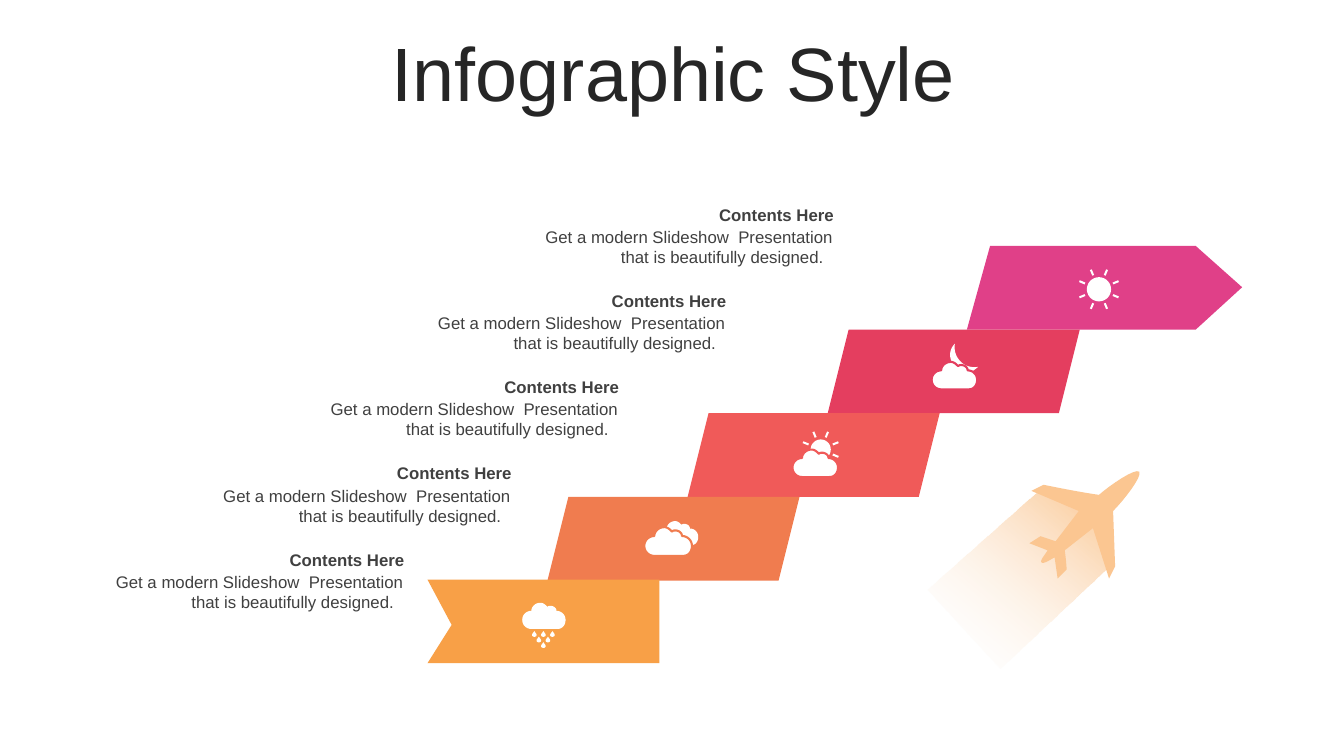
from math import cos, radians, sin

from lxml import etree
from pptx import Presentation
from pptx.dml.color import RGBColor
from pptx.enum.shapes import MSO_SHAPE
from pptx.enum.text import MSO_ANCHOR, PP_ALIGN
from pptx.oxml.ns import qn
from pptx.util import Inches, Pt

PARALLELOGRAM = MSO_SHAPE.PARALLELOGRAM
MIDDLE, TOP = MSO_ANCHOR.MIDDLE, MSO_ANCHOR.TOP
CENTER, RIGHT = PP_ALIGN.CENTER, PP_ALIGN.RIGHT

THEME = {
    "font": "Arial",
    "title_size": 54,
    "text_size": 12,
    "title": RGBColor.from_string("262626"),
    "text": RGBColor.from_string("404040"),
    "icon": RGBColor.from_string("FFFFFF"),
    "plane": RGBColor.from_string("FBC691"),
    "steps": [RGBColor.from_string(code) for code in
              ("F8A047", "F07C4F", "F05A59", "E43E5F", "E04088")],
}

ARROW = [(9.82, 2.44), (11.86, 2.44), (12.32, 2.85), (11.86, 3.27), (9.59, 3.27)]
BANNER = [(4.24, 5.75), (6.54, 5.75), (6.54, 6.58), (4.24, 6.58), (4.48, 6.2)]
TRAIL = [(10.84, 5.05), (11.02, 5.6), (9.92, 6.63), (9.2, 5.85), (10.28, 4.89)]
PLANE = [
    (10.49, 5.74), (10.46, 5.53),
    (10.42, 5.55, 10.35, 5.6, 10.33, 5.58), (10.31, 5.56, 10.37, 5.5, 10.39, 5.46),
    (10.21, 5.39), (10.32, 5.32), (10.47, 5.37), (10.7, 5.07), (10.23, 4.87),
    (10.35, 4.81), (10.55, 4.85, 10.7, 4.88, 10.9, 4.91),
    (11, 4.82, 11.26, 4.64, 11.3, 4.68), (11.33, 4.73, 11.14, 4.97, 11.04, 5.07),
    (11.06, 5.62), (11, 5.74), (10.84, 5.24), (10.56, 5.46),
    (10.57, 5.51, 10.58, 5.65, 10.58, 5.65),
]
CLOUD = [
    (0.18, 0), (0.21, 0, 0.23, 0.02, 0.25, 0.04), (0.26, 0.03, 0.27, 0.03, 0.28, 0.03),
    (0.31, 0.03, 0.34, 0.05, 0.34, 0.08), (0.39, 0.08, 0.43, 0.12, 0.43, 0.17),
    (0.43, 0.22, 0.4, 0.26, 0.35, 0.26), (0.09, 0.26),
    (0.04, 0.26, 0, 0.22, 0, 0.17), (0, 0.12, 0.04, 0.08, 0.09, 0.08),
    (0.09, 0.04, 0.13, 0, 0.18, 0),
]
RAINDROP = [
    (0, 0), (0.01, 0.02, 0.03, 0.03, 0.02, 0.05),
    (0.01, 0.06, -0.01, 0.06, -0.02, 0.05), (-0.03, 0.03, -0.01, 0.02, 0, 0),
]
MOON = [
    (9.47, 3.41), (9.46, 3.48, 9.48, 3.54, 9.53, 3.59),
    (9.57, 3.63, 9.63, 3.65, 9.7, 3.64), (9.68, 3.66, 9.66, 3.67, 9.65, 3.68),
    (9.55, 3.7), (9.44, 3.59), (9.41, 3.53, 9.42, 3.46, 9.47, 3.41),
]

presentation = Presentation()
presentation.slide_width = Inches(13.33)
presentation.slide_height = Inches(7.5)
slide = presentation.slides.add_slide(presentation.slide_layouts[6])


def draw_outline(contours, colour):
    builder = None
    for contour in contours:
        points = [contour[0]]
        for segment in contour[1:]:
            if len(segment) == 2:
                points.append(segment)
                continue
            start = points[-1]
            for step in range(1, 9):
                t = step / 8
                points.append(tuple(
                    (1 - t) ** 3 * start[axis] + 3 * (1 - t) ** 2 * t * segment[axis]
                    + 3 * (1 - t) * t ** 2 * segment[axis + 2] + t ** 3 * segment[axis + 4]
                    for axis in (0, 1)))
        points = [(Inches(x), Inches(y)) for x, y in points]
        if builder is None:
            builder = slide.shapes.build_freeform(*points[0])
        else:
            builder.move_to(*points[0])
        builder.add_line_segments(points[1:], close=True)
    shape = builder.convert_to_shape()
    shape.shadow.inherit = False
    shape.fill.solid()
    shape.fill.fore_color.rgb = colour
    shape.line.fill.background()
    return shape


def place(contour, left, top, scale=1):
    return [tuple(value * scale + (left, top)[index % 2]
                  for index, value in enumerate(segment)) for segment in contour]


texts = [(0.35, 0.37, 12.66, 0.79, "Infographic Style", "title", False, CENTER, MIDDLE)]
for step in range(4, -1, -1):
    right_shift, rise = 4.26 * step / 4, 3.42 * step / 4
    texts.append((0.85 + right_shift, 5.62 - rise, 3.25, 0.5,
                  "Get a modern Slideshow  Presentation that is beautifully designed.  ",
                  "text", False, RIGHT, TOP))
    texts.append((0.85 + right_shift, 5.4 - rise, 3.26, 0.3,
                  "Contents Here", "text", True, RIGHT, TOP))

for left, top, width, height, wording, style, bold, alignment, anchor in texts:
    box = slide.shapes.add_textbox(Inches(left), Inches(top), Inches(width), Inches(height))
    frame = box.text_frame
    frame.word_wrap = True
    frame.vertical_anchor = anchor
    paragraph = frame.paragraphs[0]
    paragraph.alignment = alignment
    if style == "title":
        paragraph.line_spacing = 0.9
    run = paragraph.add_run()
    run.text = wording
    run.font.name = THEME["font"]
    run.font.size = Pt(THEME[style + "_size"])
    run.font.bold = bold
    run.font.color.rgb = THEME[style]

draw_outline([ARROW], THEME["steps"][4])
for step in (3, 2, 1):
    tile = slide.shapes.add_shape(
        PARALLELOGRAM, Inches(4.04 + 1.39 * step), Inches(5.76 - 0.83 * step),
        Inches(2.5), Inches(0.83))
    tile.shadow.inherit = False
    tile.fill.solid()
    tile.fill.fore_color.rgb = THEME["steps"][step]
    tile.line.fill.background()
draw_outline([BANNER], THEME["steps"][0])

trail = draw_outline([TRAIL], THEME["plane"])
trail.fill.gradient()
trail.fill.gradient_angle = 50
for stop, colour in zip(trail.fill.gradient_stops, (THEME["icon"], THEME["plane"])):
    stop.color.rgb = colour
first_colour = trail.element.find(".//" + qn("a:srgbClr"))
etree.SubElement(first_colour, qn("a:alpha"), val="0")
draw_outline([PLANE], THEME["plane"])

for x, y, radius, rays in ((10.9, 2.87, 0.12, range(8)), (8.14, 4.46, 0.1, range(-4, 1))):
    sun = [[(x + radius * cos(radians(angle)), y + radius * sin(radians(angle)))
            for angle in range(0, 360, 10)]]
    for ray in rays:
        across, down = cos(radians(22.5 + 45 * ray)), sin(radians(22.5 + 45 * ray))
        sun.append([(x + across * reach - down * side, y + down * reach + across * side)
                    for reach, side in ((radius + 0.03, -0.01), (radius + 0.09, -0.01),
                                        (radius + 0.09, 0.01), (radius + 0.03, 0.01))])
    draw_outline(sun, THEME["icon"])

draw_outline([MOON], THEME["icon"])
draw_outline([place(CLOUD, 6.53, 5.17, 0.92)], THEME["icon"])
for step, left, top, scale in ((1, 6.39, 5.23, 1.1), (2, 7.86, 4.46, 1.05), (3, 9.24, 3.59, 1.05)):
    cloud = draw_outline([place(CLOUD, left, top, scale)], THEME["icon"])
    cloud.line.color.rgb = THEME["steps"][step]
    cloud.line.width = Pt(1.5)

drops = [place(RAINDROP, 5.39 + 0.09 * (column - (count - 1) / 2), 6.37 - 0.055 * (count - 1))
         for count in (1, 2, 3) for column in range(count)]
draw_outline([place(CLOUD, 5.18, 5.98)] + drops, THEME["icon"])

presentation.save("out.pptx")
